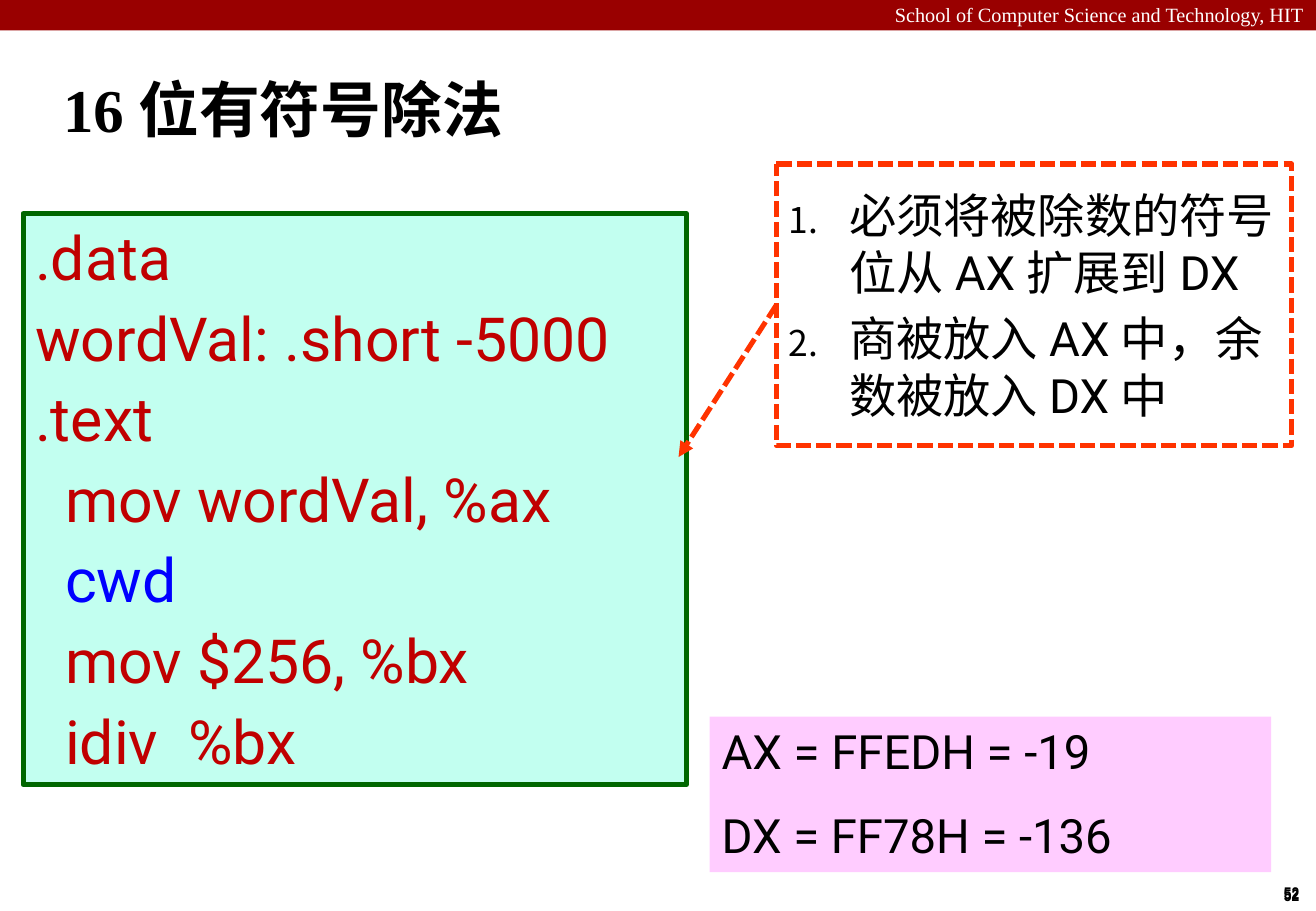
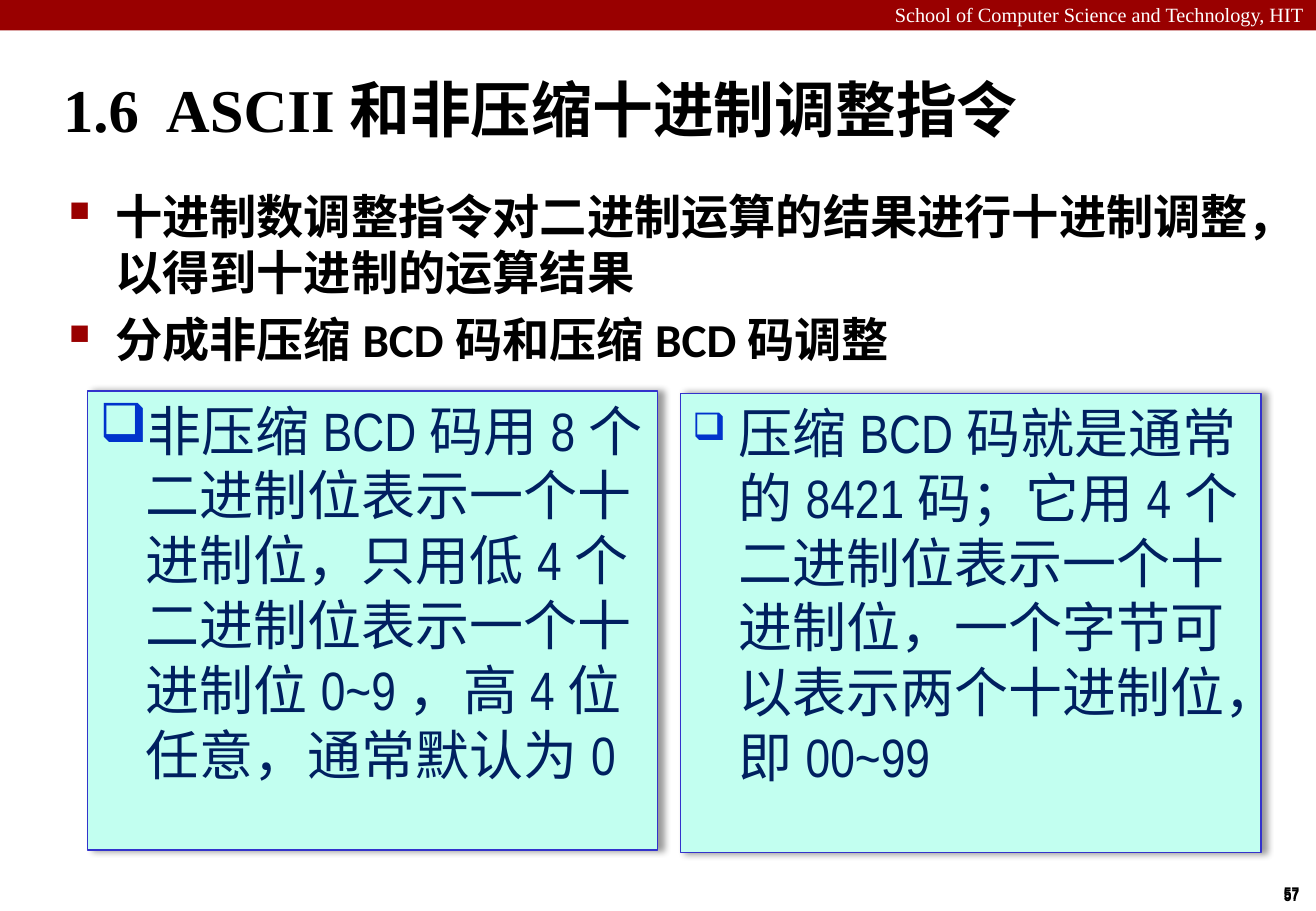
import pptx
import pptx.util
import pptx.dml.color
import pptx.enum.dml
import pptx.enum.shapes
import pptx.enum.text
import pptx.oxml
import pptx.oxml.ns
import lxml.etree

Inches = pptx.util.Inches
Pt = pptx.util.Pt
RGB = pptx.dml.color.RGBColor.from_string
SHAPE = pptx.enum.shapes.MSO_SHAPE
ANCHOR = pptx.enum.text.MSO_ANCHOR
ALIGN = pptx.enum.text.PP_ALIGN
qn = pptx.oxml.ns.qn

COLORS = {
    "white": "FFFFFF", "black": "000000", "band": "990000",
    "mint": "C2FFF0", "green": "006600", "code": "C00000", "keyword": "0000FF",
    "callout": "FF3300", "pink": "FFCCFF",
    "card_line": "3333CC", "card_bullet": "0033CC", "card_text": "002060",
}
SLIDE_W = 10.83


def add_box(s, box, kind=None, fill=None, line=None, width=1):
    """Add a text box, or a preset shape if kind is given, without shadow."""
    box = [Inches(v) for v in box]
    if kind is None:
        return s.shapes.add_textbox(*box)
    sp = s.shapes.add_shape(kind, *box)
    sp.shadow.inherit = False
    if fill:
        sp.fill.solid()
        sp.fill.fore_color.rgb = RGB(COLORS[fill])
    else:
        sp.fill.background()
    if line:
        sp.line.color.rgb = RGB(COLORS[line])
        sp.line.width = Pt(width)
    else:
        sp.line.fill.background()
    return sp


def write(sp, lines, font, size, color="black", bold=False, align=ALIGN.LEFT,
          anchor=ANCHOR.TOP, gap=0, indent=0, bullet=None, wrap=True):
    """Fill sp with lines; bullet is (color, size in percent, character or None to number)."""
    tf = sp.text_frame
    tf.word_wrap = wrap
    tf.vertical_anchor = anchor
    tf.text = "\n".join(lines)
    for i, p in enumerate(tf.paragraphs):
        pPr = p._p.get_or_add_pPr()
        if indent:
            pPr.set("marL", str(Inches(indent)))
            pPr.set("indent", str(-Inches(indent)))
        if bullet:
            bullet_color, percent, char = bullet
            clr = lxml.etree.SubElement(pPr, qn("a:buClr"))
            lxml.etree.SubElement(clr, qn("a:srgbClr"), val=COLORS[bullet_color])
            lxml.etree.SubElement(pPr, qn("a:buSzPct"), val=str(percent * 1000))
            if char:
                lxml.etree.SubElement(pPr, qn("a:buChar"), char=char)
            else:
                lxml.etree.SubElement(pPr, qn("a:buAutoNum"), type="arabicPeriod")
        p.alignment = align
        if i:
            p.space_before = Pt(gap)
        for r in p.runs:
            r.font.name = font
            r.font.size = Pt(size)
            r.font.bold = bold
            r.font.color.rgb = RGB(COLORS[color])


prs = pptx.Presentation()
prs.slide_width = Inches(SLIDE_W)
prs.slide_height = Inches(7.5)

# Band, header, page number and title on every slide
slides = []
for title, page in [("16位有符号除法", "52"), ("1.6  ASCII和非压缩十进制调整指令", "57")]:
    s = prs.slides.add_slide(prs.slide_layouts[6])
    add_box(s, (0, 0, SLIDE_W, 0.25), SHAPE.RECTANGLE, "band")
    write(add_box(s, (0, -0.03, SLIDE_W, 0.3)),
          ["School of Computer Science and Technology, HIT"],
          "Times New Roman", 12, "white", align=ALIGN.RIGHT)
    for top in (7.23, 7.22):
        write(add_box(s, (10.46, top, 0.34, 0.27)), [page], "Arial Narrow", 10,
              bold=True, align=ALIGN.CENTER, wrap=False)
    write(add_box(s, (0.42, 0.48, 10.41, 0.83)), [title], "Times New Roman", 36,
          bold=True, anchor=ANCHOR.MIDDLE, indent=0.13)
    slides.append(s)
division, adjustment = slides

# Slide 1: code, callout and result
code = add_box(division, (0.19, 1.76, 5.46, 4.7), SHAPE.RECTANGLE, "mint", "green", 3)
write(code, [".data", "wordVal: .short -5000", ".text", "  mov wordVal, %ax",
             "  cwd", "  mov $256, %bx", "  idiv  %bx"],
      "Roboto", 36, "code", gap=4.6)
code.text_frame.paragraphs[4].runs[0].font.color.rgb = RGB(COLORS["keyword"])

callout = add_box(division, (6.39, 1.35, 4.24, 2.32), SHAPE.LINE_CALLOUT_1,
                  line="callout", width=3)
for i, value in enumerate((0.5, 0, 1.04, -0.19)):
    callout.adjustments[i] = value
callout.line.dash_style = pptx.enum.dml.MSO_LINE.SQUARE_DOT
callout.line.dash_style = pptx.enum.dml.MSO_LINE.DASH
ln = callout.line._get_or_add_ln()
ln.find(qn("a:prstDash")).set("val", "sysDash")
lxml.etree.SubElement(ln, qn("a:tailEnd"), type="triangle")
write(callout, ["必须将被除数的符号位从AX扩展到DX", "商被放入AX中，余数被放入DX中"],
      "Roboto", 28, anchor=ANCHOR.MIDDLE, gap=5.6, indent=0.5,
      bullet=("black", 75, None))

result = add_box(division, (5.84, 5.9, 4.62, 1.28), SHAPE.RECTANGLE, "pink")
write(result, ["AX = FFEDH = -19", "DX = FF78H = -136"], "Roboto", 28, gap=16)

# Slide 2: bullets above two cards
write(add_box(adjustment, (0.47, 1.49, 10.18, 1.6)),
      ["十进制数调整指令对二进制运算的结果进行十进制调整，以得到十进制的运算结果",
       "分成非压缩BCD码和压缩BCD码调整"],
      "Calibri", 28, bold=True, gap=5.6, indent=0.38, bullet=("band", 60, "■"))

cards = [
    ((5.6, 3.24, 4.78, 3.78), 70,
     "压缩BCD码就是通常的8421码；它用4个二进制位表示一个十进制位，一个字节可以表示两个十进制位，即00~99"),
    ((0.72, 3.22, 4.69, 3.78), 100,
     "非压缩BCD码用8个二进制位表示一个十进制位，只用低4个二进制位表示一个十进制位0~9，高4位任意，通常默认为0"),
]
for box, percent, text in cards:
    card = add_box(adjustment, box, SHAPE.RECTANGLE, "mint", "card_line")
    effects = card._element.spPr.find(qn("a:effectLst"))
    shadow = lxml.etree.SubElement(effects, qn("a:outerShdw"), blurRad=str(Pt(4)),
                                   dist=str(Pt(3)), dir="0", algn="l", rotWithShape="0")
    clr = lxml.etree.SubElement(shadow, qn("a:srgbClr"), val=COLORS["black"])
    lxml.etree.SubElement(clr, qn("a:alpha"), val="40000")
    write(card, [text], "Arial Narrow", 32, "card_text", indent=0.38,
          bullet=("card_bullet", percent, "❑"))

prs.save("out.pptx")
